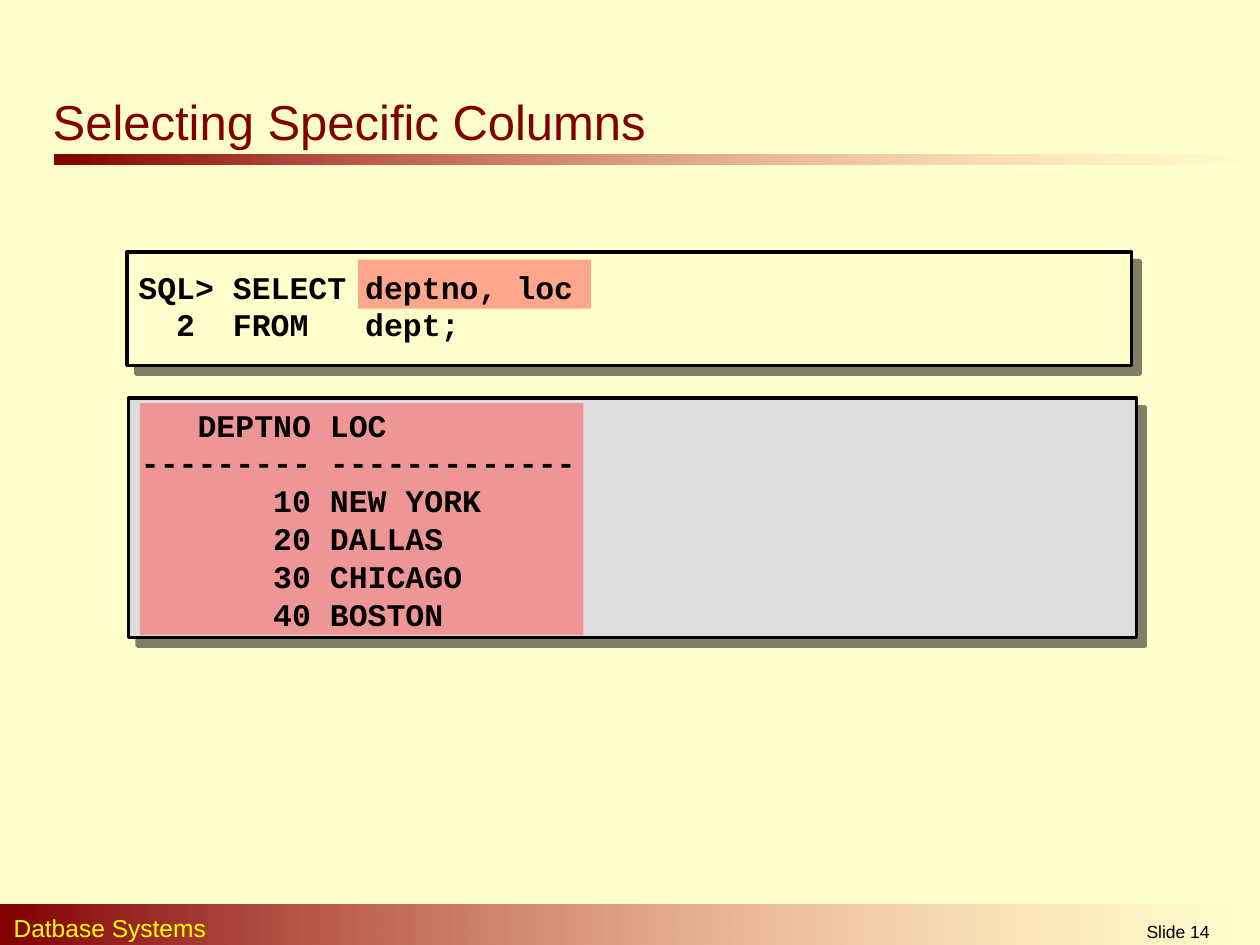
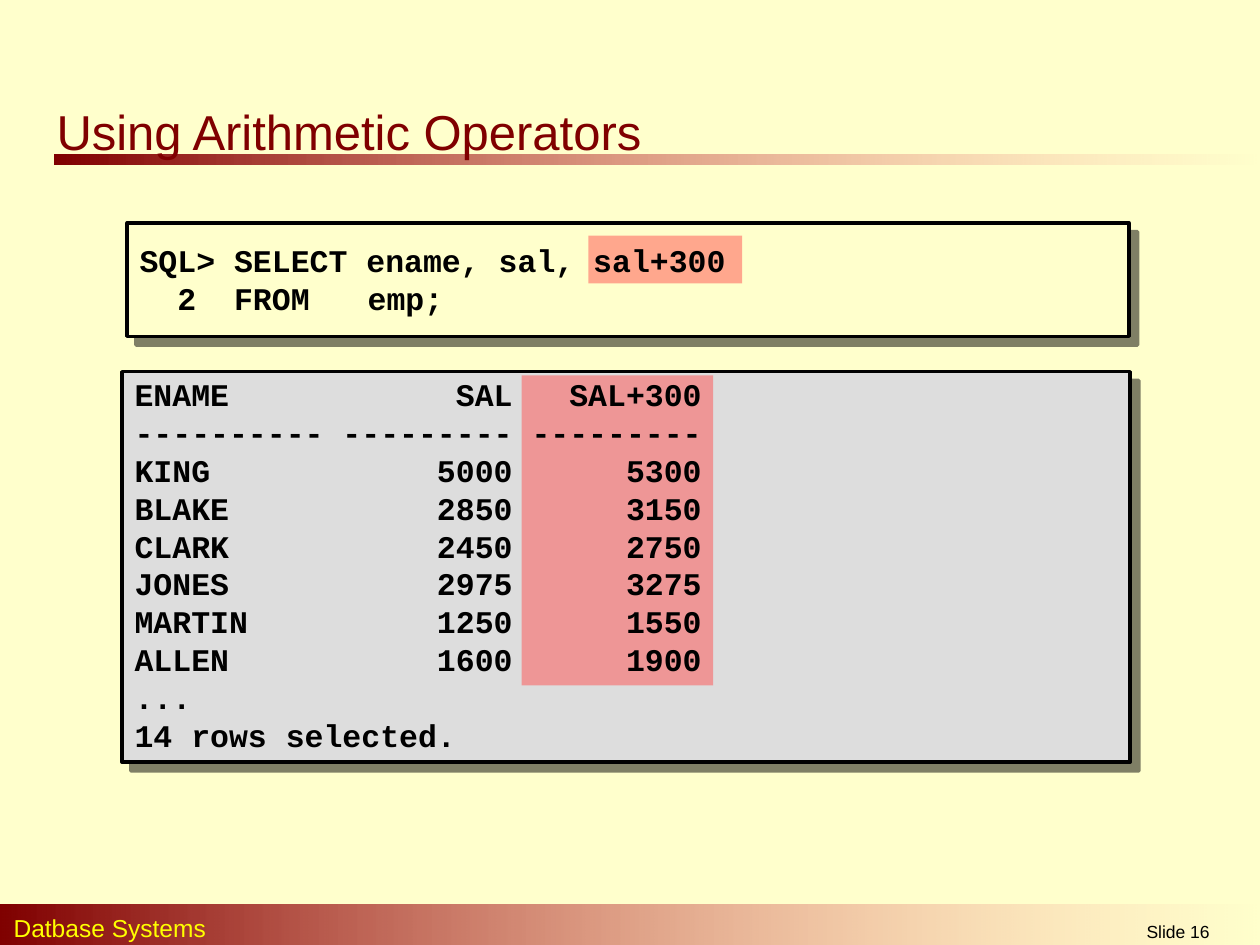
from lxml.etree import SubElement
from pptx import Presentation
from pptx.dml.color import RGBColor
from pptx.enum.shapes import MSO_SHAPE
from pptx.enum.text import MSO_ANCHOR, PP_ALIGN
from pptx.oxml.ns import qn
from pptx.util import Inches, Pt

COLORS = {
    "cream": "FFFFCC",
    "maroon": "800000",
    "pink": "FF8585",
    "yellow": "FFFF00",
    "black": "000000",
    "gray": "DDDDDD",
    "highlight": "FF5050",
}

SLIDES = [
    {
        "number": 14,
        "title": "Selecting Specific Columns",
        "title_at": (0.32, 0.68, 5, 0.43),
        "query": ["SQL> SELECT deptno, loc", "  2  FROM   dept;"],
        "query_panel": (1.01, 2, 7.97, 0.9),
        "query_text_at": (1, 1.96, 8, 0.93),
        "result": [
            "   DEPTNO LOC",
            "--------- -------------",
            "       10 NEW YORK",
            "       20 DALLAS",
            "       30 CHICAGO",
            "       40 BOSTON",
        ],
        "result_panel": (1.02, 3.16, 8, 1.9),
        "result_text_at": (1.02, 3.17, 7.97, 1.9),
        "highlights": [(2.84, 2.06, 1.85, 0.39), (1.11, 3.2, 3.52, 1.84)],
    },
    {
        "number": 16,
        "title": "Using Arithmetic Operators",
        "title_at": (0.35, 0.76, 4.92, 0.59),
        "query": ["SQL> SELECT ename, sal, sal+300", "  2  FROM\temp;"],
        "query_panel": (1.01, 1.77, 7.95, 0.9),
        "query_text_at": (1.01, 1.75, 7.97, 0.93),
        "result": [
            "ENAME            SAL   SAL+300",
            "---------- --------- ---------",
            "KING            5000      5300",
            "BLAKE           2850      3150",
            "CLARK           2450      2750",
            "JONES           2975      3275",
            "MARTIN          1250      1550",
            "ALLEN           1600      1900",
            "...",
            "14 rows selected.",
        ],
        "result_panel": (0.97, 2.95, 8, 3.1),
        "result_text_at": (0.97, 2.93, 8.03, 3.1),
        "highlights": [(4.67, 1.87, 1.22, 0.38), (4.14, 2.98, 1.52, 2.46)],
    },
]


def add_box(slide, at, color, fade_to=None, opacity=100, framed=False):
    """Add a rectangle; fade_to runs to transparent, framed adds outline and shadow."""
    shape = slide.shapes.add_shape(MSO_SHAPE.RECTANGLE, *map(Inches, at))
    shape.shadow.inherit = False
    properties = shape._element.spPr
    if fade_to:
        shape.fill.gradient()
        shape.fill.gradient_angle = 0
        for stop, name in zip(shape.fill.gradient_stops, (color, fade_to)):
            stop.color.rgb = RGBColor.from_string(COLORS[name])
        opacity = 0
    else:
        shape.fill.solid()
        shape.fill.fore_color.rgb = RGBColor.from_string(COLORS[color])
    if opacity < 100:
        last_color = list(properties.iter(qn("a:srgbClr")))[-1]
        SubElement(last_color, qn("a:alpha"), val=str(opacity * 1000))
    if framed:
        shape.line.color.rgb = RGBColor.from_string(COLORS["black"])
        shape.line.width = Pt(2)
        shadow = SubElement(properties.find(qn("a:effectLst")), qn("a:outerShdw"),
                            dist=str(Pt(7.1)), dir="2700000", algn="ctr", rotWithShape="0")
        shadow_color = SubElement(shadow, qn("a:srgbClr"), val=COLORS["black"])
        SubElement(shadow_color, qn("a:alpha"), val="50000")
    else:
        shape.line.fill.background()


def add_text(slide, at, lines, size, color="black", font="Arial", bold=False,
             align=PP_ALIGN.LEFT, anchor=MSO_ANCHOR.TOP, line_height=None, tab=None):
    frame = slide.shapes.add_textbox(*map(Inches, at)).text_frame
    frame.word_wrap = True
    frame.vertical_anchor = anchor
    for index, line in enumerate(lines):
        paragraph = frame.paragraphs[0] if index == 0 else frame.add_paragraph()
        paragraph.text = line
        paragraph.alignment = align
        if line_height:
            paragraph.line_spacing = Pt(line_height)
        if tab:
            tabs = SubElement(paragraph._p.get_or_add_pPr(), qn("a:tabLst"))
            SubElement(tabs, qn("a:tab"), pos=str(Inches(tab)), algn="l")
        paragraph.font.name = font
        paragraph.font.size = Pt(size)
        paragraph.font.bold = bold
        paragraph.font.color.rgb = RGBColor.from_string(COLORS[color])


presentation = Presentation()
presentation.slide_width = Inches(10)
presentation.slide_height = Inches(7.5)
code_style = {"size": 18, "font": "Courier New", "bold": True, "line_height": 21.6}

for content in SLIDES:
    slide = presentation.slides.add_slide(presentation.slide_layouts[6])
    slide.background.fill.solid()
    slide.background.fill.fore_color.rgb = RGBColor.from_string(COLORS["cream"])

    # Title rule and footer
    add_box(slide, (0.43, 1.23, 9.57, 0.08), "maroon", fade_to="pink")
    add_box(slide, (0, 7.18, 10, 0.32), "maroon", fade_to="pink")
    add_text(slide, (0.01, 7.2, 6.4, 0.3), ["Datbase Systems"], 14, "yellow")
    add_text(slide, (8.7, 7.26, 1.3, 0.24), [f"Slide {content['number']}"], 10,
             align=PP_ALIGN.CENTER)
    add_text(slide, content["title_at"], [content["title"]], 28, "maroon")

    # Query and result panels, highlights, then the code on top
    add_box(slide, content["result_panel"], "gray", framed=True)
    add_box(slide, content["query_panel"], "cream", framed=True)
    for highlight in content["highlights"]:
        add_box(slide, highlight, "highlight", opacity=50)
    add_text(slide, content["query_text_at"], content["query"],
             anchor=MSO_ANCHOR.MIDDLE, tab=1.81, **code_style)
    add_text(slide, content["result_text_at"], content["result"], **code_style)

presentation.save("out.pptx")
